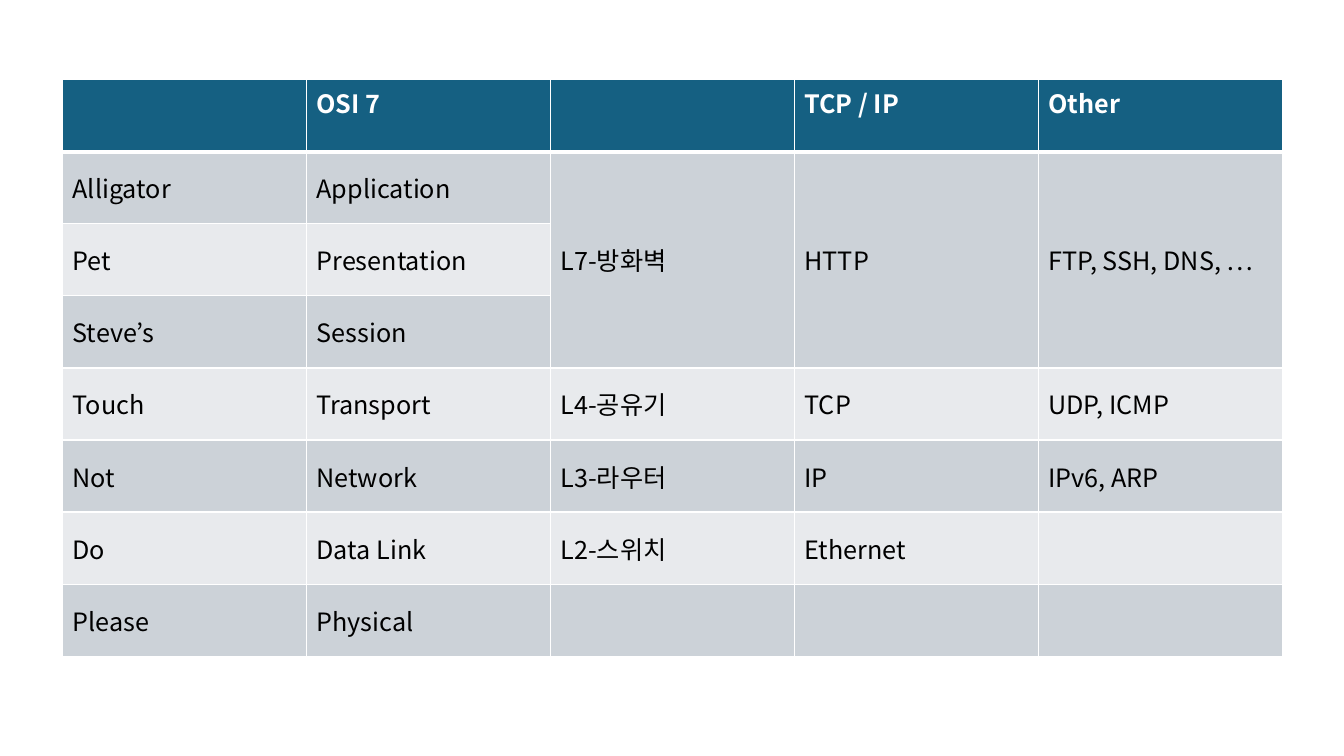
from typing import NamedTuple

from lxml.etree import SubElement
from pptx import Presentation
from pptx.dml.color import RGBColor as RGB
from pptx.enum.text import MSO_ANCHOR as Anchor
from pptx.oxml.ns import qn
from pptx.util import Inches, Pt

COLORS = {"header": "156082", "odd": "CCD2D8", "even": "E8EAED",
          "border": "FFFFFF", "header_text": "FFFFFF", "text": "000000"}
FONT = "Noto Sans CJK KR"


class Layer(NamedTuple):
    mnemonic: str
    osi: str
    device: str = ""
    tcp_ip: str = ""
    other: str = ""


class CellStyle(NamedTuple):
    fill: str
    text: str
    bold: bool
    anchor: Anchor
    top: float = 1
    bottom: float = 1


HEADER = Layer("", "OSI 7", "", "TCP / IP", "Other")
LAYERS = [
    Layer("Alligator", "Application", "L7-방화벽", "HTTP", "FTP, SSH, DNS, …"),
    Layer("Pet", "Presentation"),
    Layer("Steve’s", "Session"),
    Layer("Touch", "Transport", "L4-공유기", "TCP", "UDP, ICMP"),
    Layer("Not", "Network", "L3-라우터", "IP", "IPv6, ARP"),
    Layer("Do", "Data Link", "L2-스위치", "Ethernet"),
    Layer("Please", "Physical"),
]
ROWS = [HEADER, *LAYERS]
MERGED_ROWS = (1, 3)
MERGED_COLS = range(2, 5)


def row_style(row: int) -> CellStyle:
    """Header style, then alternating bands below a thick rule."""
    if row == 0:
        return CellStyle("header", "header_text", True, Anchor.TOP, bottom=3)
    band = "odd" if row % 2 else "even"
    return CellStyle(band, "text", False, Anchor.MIDDLE, top=3 if row == 1 else 1)


def add_borders(cell, style: CellStyle) -> None:
    tc_pr = cell._tc.get_or_add_tcPr()
    widths = {"lnL": 1, "lnR": 1, "lnT": style.top, "lnB": style.bottom}
    for side, width in widths.items():
        ln = SubElement(tc_pr, qn(f"a:{side}"), w=str(Pt(width)))
        fill = SubElement(ln, qn("a:solidFill"))
        SubElement(fill, qn("a:srgbClr"), val=COLORS["border"])


def format_cell(cell, text: str, style: CellStyle) -> None:
    add_borders(cell, style)
    cell.fill.solid()
    cell.fill.fore_color.rgb = RGB.from_string(COLORS[style.fill])
    cell.vertical_anchor = style.anchor
    if not text:
        return
    r = cell.text_frame.paragraphs[0].add_run()
    r.text = text
    for name, value in {"name": FONT, "size": Pt(18), "bold": style.bold}.items():
        setattr(r.font, name, value)
    r.font.color.rgb = RGB.from_string(COLORS[style.text])
    SubElement(r._r.get_or_add_rPr(), qn("a:ea"), typeface=FONT)


def add_layer_table(s) -> None:
    frame = s.shapes.add_table(len(ROWS), len(HEADER), Inches(0.62), Inches(0.79),
                               Inches(12.1), Inches(5.72))
    table = frame.table
    for row, layer in enumerate(ROWS):
        for col, text in enumerate(layer):
            format_cell(table.cell(row, col), text, row_style(row))

    # The top three layers share one cell in each of the right-hand columns
    first, last = MERGED_ROWS
    for col in MERGED_COLS:
        table.cell(first, col).merge(table.cell(last, col))


def main() -> None:
    prs = Presentation()
    prs.slide_width, prs.slide_height = Inches(13.33), Inches(7.5)
    s = prs.slides.add_slide(prs.slide_layouts[6])
    add_layer_table(s)
    prs.save("out.pptx")


if __name__ == "__main__":
    main()
